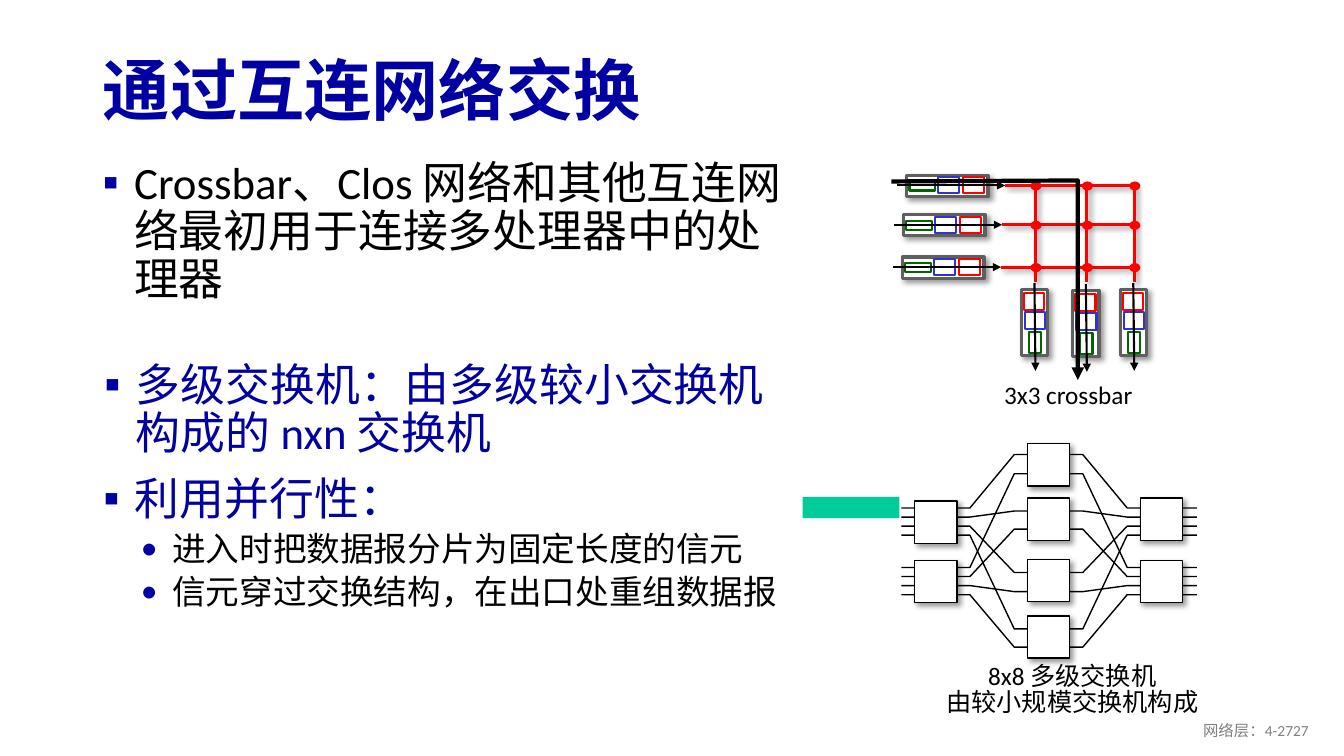
"""Build the slide on switching through an interconnection network."""
from dataclasses import dataclass
from itertools import product

from lxml.etree import SubElement
from pptx import Presentation
from pptx.dml.color import RGBColor
from pptx.enum.shapes import MSO_CONNECTOR as Link, MSO_SHAPE as Preset
from pptx.enum.text import MSO_ANCHOR as Anchor, MSO_AUTO_SIZE as Fit, PP_ALIGN as Align
from pptx.oxml.ns import qn
from pptx.util import Inches, Pt


@dataclass(frozen=True)
class Theme:
    font: str = "Calibri"
    navy: str = "0000A3"
    black: str = "000000"
    white: str = "FFFFFF"
    grey: str = "808080"
    frame: str = "5F5F5F"
    green: str = "006600"
    blue: str = "3333CC"
    red: str = "FF0000"
    cell: str = "00CC99"
    title: int = 48
    body: int = 32
    detail: int = 24
    caption: int = 18
    footer: int = 11


THEME = Theme()
SLIDE_SIZE = (13.33, 7.5)

POINT = dict(size=THEME.body, color=THEME.navy, bullet="▪", indent=0.39, before=10, spacing=0.9)
DETAIL = dict(size=THEME.detail, color=THEME.black, bullet="•", indent=0.76, before=5,
              spacing=0.9, level=1)
CAPTION = dict(size=THEME.caption, color=THEME.black, align=Align.CENTER, spacing=0.85)
TITLE = dict(size=THEME.title, color=THEME.navy, bold=True, align=Align.LEFT, spacing=0.9)
FOOTER = dict(size=THEME.footer, color=THEME.grey, align=Align.RIGHT)

TITLE_TEXT = [("通过互连网络交换", TITLE)]
ORIGIN_TEXT = [("Crossbar、Clos 网络和其他互连网络最初用于连接多处理器中的处理器",
                {**POINT, "color": THEME.black})]
MULTISTAGE_TEXT = [("多级交换机：由多级较小交换机构成的 nxn 交换机", POINT)]
PARALLEL_TEXT = [("利用并行性：", POINT),
                 ("进入时把数据报分片为固定长度的信元", DETAIL),
                 ("信元穿过交换结构，在出口处重组数据报", DETAIL)]
CROSSBAR_TEXT = [("3x3 crossbar", CAPTION)]
CLOS_TEXT = [("8x8 多级交换机", CAPTION), ("由较小规模交换机构成", CAPTION)]
FOOTER_TEXT = [("网络层：4-2727", FOOTER)]

INPUT_PORTS = [(8.99, 1.74), (8.96, 2.13), (8.95, 2.55)]
OUTPUT_PORTS = [(9.93, 3.07), (10.44, 3.08), (10.91, 3.07)]
INPUT_QUEUE = dict(turn=0, frame=(0.81, 0.21), arrow=((-0.09, 0.1), (0.98, 0.1)),
                   packets=[(0.03, 0.06, 0.25, 0.09), (0.31, 0.02, 0.21, 0.16),
                            (0.56, 0.02, 0.21, 0.16)])
OUTPUT_QUEUE = dict(turn=90, frame=(0.66, 0.26), arrow=((0.33, -0.26), (0.34, 0.61)),
                    packets=[(0.23, 0.27, 0.21, 0.12), (0.25, 0.01, 0.17, 0.2),
                             (0.24, -0.18, 0.17, 0.2)])
PACKET_COLORS = (THEME.green, THEME.blue, THEME.red)
ROUTE = [(8.84, 1.8), (10.69, 1.79), (10.69, 3.77)]

WIRE_COLUMNS = (8.94, 9.62, 10.06, 10.74, 11.18, 11.87)
WIRE_ROWS = [(5.04, 4.51), (5.9, 6.42), (5.13, 5.07), (5.81, 5.87),
             (5.22, 5.68), (5.72, 5.25), (5.31, 6.24), (5.63, 4.7)]
SWITCH_SIDE = 0.42
SWITCH_STAGES = [(9.07, (4.97, 5.56)), (10.19, (4.4, 4.94, 5.55, 6.11)), (11.31, (4.94, 5.56))]
CELL_ORIGIN, CELL_SIZE, CELL_COUNT = (7.96, 4.93), (0.32, 0.21), 3


def paint_line(item, color, width, arrow=False, shadow=False):
    item.line.color.rgb = RGBColor.from_string(color)
    item.line.width = Pt(width)
    if arrow:
        SubElement(item.line._get_or_add_ln(), qn("a:tailEnd"), type="triangle")
    add_effects(item, shadow)


def add_effects(item, shadow):
    effects = SubElement(item._element.spPr, qn("a:effectLst"))
    if shadow:
        cast = SubElement(effects, qn("a:outerShdw"), blurRad=str(Pt(4)), dist=str(Pt(3)),
                          dir=str(45 * 60000), algn="ctr", rotWithShape="0")
        tint = SubElement(cast, qn("a:srgbClr"), val=THEME.black)
        SubElement(tint, qn("a:alpha"), val="40000")


def draw_shape(shapes, at, fill, line=None, width=1, turn=0, shadow=False, preset=Preset.RECTANGLE):
    item = shapes.add_shape(preset, *map(Inches, at))
    item.rotation = turn
    item.fill.solid()
    item.fill.fore_color.rgb = RGBColor.from_string(fill)
    if line:
        paint_line(item, line, width, shadow=shadow)
    else:
        item.line.fill.background()
        add_effects(item, shadow)


def draw_line(shapes, start, end, color, width, **style):
    item = shapes.add_connector(Link.STRAIGHT, *map(Inches, (*start, *end)))
    paint_line(item, color, width, **style)


def draw_path(shapes, points, width, **style):
    first, *rest = [tuple(map(Inches, point)) for point in points]
    builder = shapes.build_freeform(*first)
    builder.add_line_segments(rest, close=False)
    item = builder.convert_to_shape()
    item.fill.background()
    paint_line(item, THEME.black, width, **style)


def write(box, at, content, anchor=Anchor.TOP, wrap=True):
    for name, value in zip(("left", "top", "width", "height"), at):
        setattr(box, name, Inches(value))
    frame = box.text_frame
    settings = dict(word_wrap=wrap, auto_size=Fit.NONE, vertical_anchor=anchor)
    for name, value in settings.items():
        setattr(frame, name, value)
    for index, (text, style) in enumerate(content):
        para = frame.add_paragraph() if index else frame.paragraphs[0]
        layout = dict(level=style.get("level", 0), alignment=style.get("align", Align.LEFT),
                      line_spacing=style.get("spacing", 1.0), space_after=Pt(0),
                      space_before=Pt(style.get("before", 0) if index else 0))
        for name, value in layout.items():
            setattr(para, name, value)
        if "bullet" in style:
            add_bullet(para, style)
        span = para.add_run()
        span.text = text
        looks = dict(name=THEME.font, size=Pt(style["size"]), bold=style.get("bold", False))
        for name, value in looks.items():
            setattr(span.font, name, value)
        span.font.color.rgb = RGBColor.from_string(style["color"])


def add_bullet(para, style):
    props = para._p.get_or_add_pPr()
    props.set("marL", str(Inches(style["indent"])))
    props.set("indent", str(Inches(-0.31)))
    SubElement(SubElement(props, qn("a:buClr")), qn("a:srgbClr"), val=THEME.navy)
    SubElement(props, qn("a:buFont"), typeface=THEME.font)
    SubElement(props, qn("a:buChar"), char=style["bullet"])


def draw_queue(shapes, origin, queue):
    left, top = origin
    turn = queue["turn"]
    draw_shape(shapes, (*origin, *queue["frame"]), THEME.white, THEME.frame, 2.25, turn, True)
    for color, (dx, dy, width, height) in zip(PACKET_COLORS, queue["packets"]):
        draw_shape(shapes, (left + dx, top + dy, width, height), THEME.white, color, 1.5, turn)
    start, end = [(left + dx, top + dy) for dx, dy in queue["arrow"]]
    draw_line(shapes, start, end, THEME.black, 1.5, arrow=True)


def draw_crossbar(shapes):
    for origin in INPUT_PORTS:
        draw_queue(shapes, origin, INPUT_QUEUE)
    for origin in reversed(OUTPUT_PORTS):
        draw_queue(shapes, origin, OUTPUT_QUEUE)
    columns = [left + 0.34 for left, _ in OUTPUT_PORTS]
    rows = [top + 0.1 for _, top in INPUT_PORTS]
    for (left, _), y in zip(INPUT_PORTS, rows):
        draw_line(shapes, (left + 0.98, y), (columns[-1], y), THEME.red, 2.25, shadow=True)
    for x in columns:
        draw_line(shapes, (x, 2.8), (x, rows[0]), THEME.red, 2.25, shadow=True)
    for x, y in product(columns, rows):
        draw_shape(shapes, (x - 0.05, y - 0.04, 0.11, 0.09), THEME.red, preset=Preset.OVAL)
    draw_path(shapes, ROUTE, 3, arrow=True)


def draw_clos(shapes):
    for outer, middle in WIRE_ROWS:
        rows = (outer, outer, middle, middle, outer, outer)
        draw_path(shapes, list(zip(WIRE_COLUMNS, rows)), 1)
    for left, tops in SWITCH_STAGES:
        for top in tops:
            draw_shape(shapes, (left, top, SWITCH_SIDE, SWITCH_SIDE), THEME.white, THEME.black,
                       shadow=True)


def main():
    deck = Presentation()
    deck.slide_width, deck.slide_height = map(Inches, SLIDE_SIZE)
    page = deck.slides.add_slide(deck.slide_layouts[1])
    shapes = page.shapes

    def add_text(at, content, **style):
        write(shapes.add_textbox(*map(Inches, at)), at, content, **style)

    write(shapes.title, (0.92, 0.44, 11.5, 0.98), TITLE_TEXT, anchor=Anchor.MIDDLE)
    write(page.placeholders[1], (0.84, 1.54, 7.08, 5.58), ORIGIN_TEXT)
    draw_crossbar(shapes.add_group_shape().shapes)
    draw_clos(shapes.add_group_shape().shapes)
    add_text((8.86, 6.55, 3.55, 0.62), CLOS_TEXT, wrap=False)
    add_text((0.86, 3.55, 7.08, 1.2), MULTISTAGE_TEXT)
    add_text((0.85, 4.68, 7.08, 2.32), PARALLEL_TEXT)
    add_text((9.85, 3.76, 1.49, 0.36), CROSSBAR_TEXT, wrap=False)
    left, top = CELL_ORIGIN
    for index in range(CELL_COUNT):
        draw_shape(shapes, (left + index * CELL_SIZE[0], top, *CELL_SIZE), THEME.cell)
    add_text((10.08, 7.05, 3, 0.4), FOOTER_TEXT, anchor=Anchor.MIDDLE)
    deck.save("out.pptx")


if __name__ == "__main__":
    main()
